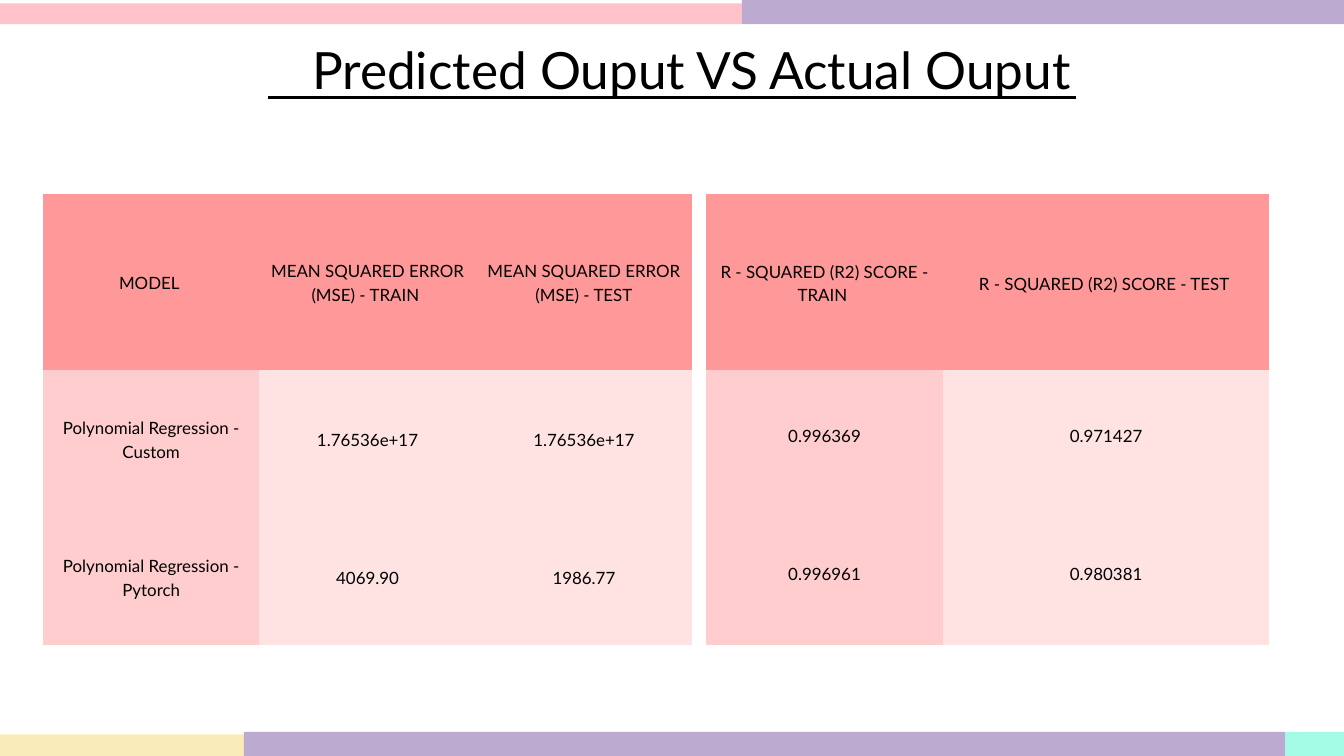
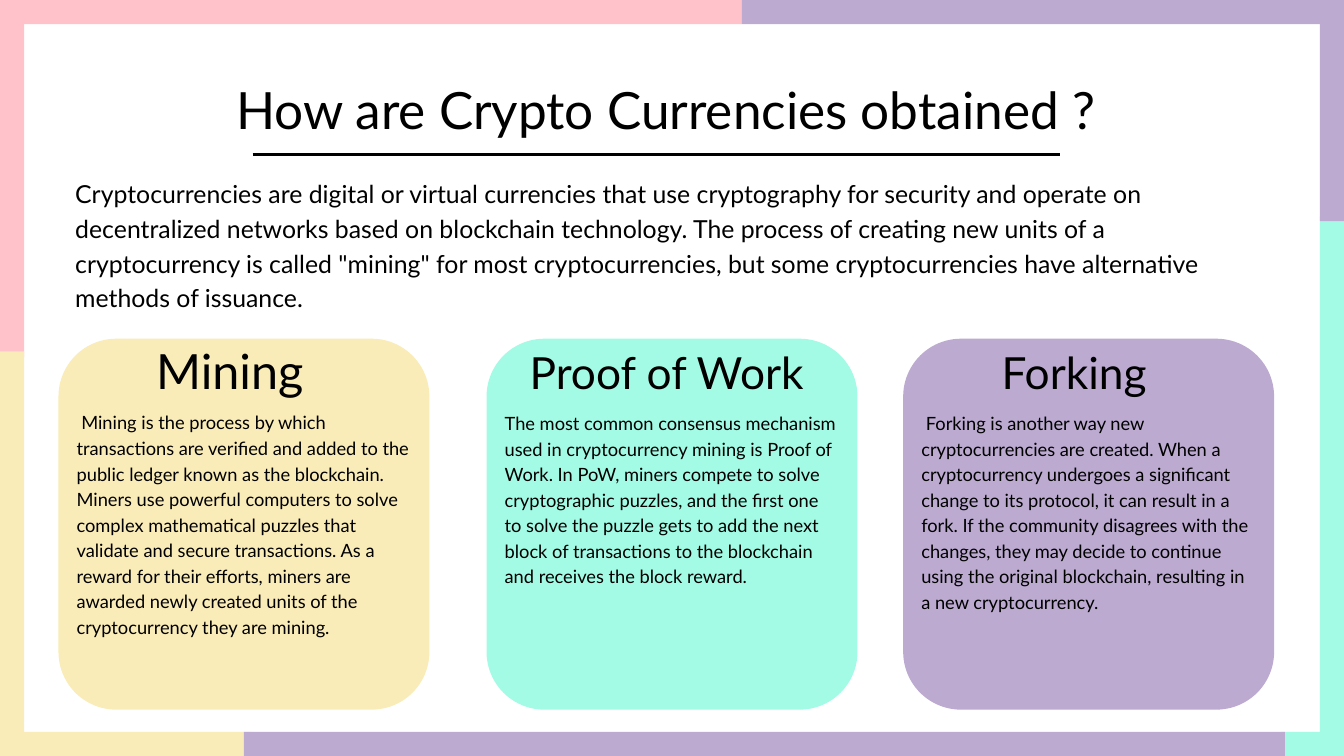
from dataclasses import dataclass

from lxml import etree
from pptx import Presentation
from pptx.dml.color import RGBColor
from pptx.enum.shapes import MSO_CONNECTOR, MSO_SHAPE
from pptx.enum.text import MSO_ANCHOR, MSO_AUTO_SIZE, PP_ALIGN
from pptx.oxml.ns import qn
from pptx.util import Inches, Pt

RECT, ROUNDED = MSO_SHAPE.RECTANGLE, MSO_SHAPE.ROUNDED_RECTANGLE
STRAIGHT = MSO_CONNECTOR.STRAIGHT
LEFT, CENTER = PP_ALIGN.LEFT, PP_ALIGN.CENTER
MIDDLE = MSO_ANCHOR.MIDDLE
GROW = MSO_AUTO_SIZE.SHAPE_TO_FIT_TEXT


@dataclass(frozen=True)
class Theme:
    font: str = "Lato"
    ink: str = "000000"
    paper: str = "FFFFFF"
    pink: str = "FFC2CA"
    purple: str = "BCAAD0"
    mint: str = "A3FBE5"
    cream: str = "F9ECB8"
    header: str = "FF9999"
    first_col: str = "FFCDCD"
    body_cell: str = "FFE3E3"
    # Type size and line spacing, in points
    title: tuple = (55, 77.1)
    intro: tuple = (26.6, 37.2)
    card_text: tuple = (19.6, 27.4)
    mining_head: tuple = (52, 72.8)
    card_head: tuple = (47.4, 66.4)
    cell: tuple = (18.1, 25.3)


THEME = Theme()
WIDTH, HEIGHT = 20, 11.25
EDGE = 0.36
FOOT = HEIGHT - EDGE


@dataclass(frozen=True)
class Box:
    left: float
    top: float
    width: float
    height: float

    def inches(self) -> tuple:
        return tuple(Inches(v) for v in (self.left, self.top, self.width, self.height))


@dataclass(frozen=True)
class Band:
    box: Box
    color: str


@dataclass(frozen=True)
class Card:
    left: float
    color: str
    head: str
    head_box: Box
    head_style: tuple
    text: str
    text_box: Box


@dataclass(frozen=True)
class ScoreTable:
    left: float
    top: float
    cols: tuple
    rows: tuple
    cells: tuple


# Frame bands
SHARED_BANDS = (
    Band(Box(11.04, 0, 8.96, EDGE), THEME.purple),
    Band(Box(3.63, FOOT, 15.49, EDGE), THEME.purple),
)
SCORE_BANDS = (
    Band(Box(0, 0.05, 11.04, 0.31), THEME.pink),
    Band(Box(19.06, FOOT, 0.94, EDGE), THEME.mint),
    Band(Box(0, 10.93, 3.76, 0.32), THEME.cream),
)
CRYPTO_BANDS = (
    Band(Box(WIDTH - EDGE, 3.22, EDGE, 8.03), THEME.mint),
    Band(Box(0.35, 0, 10.69, EDGE), THEME.pink),
    Band(Box(0, 0, EDGE, 5.31), THEME.pink),
    Band(Box(0, 5.23, EDGE, 6.02), THEME.cream),
    Band(Box(WIDTH - EDGE, 0, EDGE, 3.29), THEME.purple),
    Band(Box(19.06, FOOT, 0.76, EDGE), THEME.mint),
    Band(Box(0.18, FOOT, 3.58, EDGE), THEME.cream),
)

# Model scores
TABLES = (
    ScoreTable(0.64, 2.88, (3.22, 3.22, 3.22), (2.62, 2.05, 2.05), (
        ("MODEL ", "MEAN SQUARED ERROR (MSE) - TRAIN ", "MEAN SQUARED ERROR (MSE) - TEST"),
        ("Polynomial Regression - Custom", "1.76536e+17", "1.76536e+17"),
        ("Polynomial Regression - Pytorch", "4069.90", "1986.77"),
    )),
    ScoreTable(10.5, 2.88, (3.54, 4.84), (2.63, 1.91, 2.18), (
        ("R - SQUARED (R2) SCORE - TRAIN ", "R - SQUARED (R2) SCORE - TEST "),
        ("0.996369", "0.971427"),
        ("0.996961", "0.980381"),
    )),
)

# Ways of obtaining coins
CARD_TOP, CARD_SIZE, CARD_RADIUS = 5.04, 5.52, 0.86
INTRO = (
    "Cryptocurrencies are digital or virtual currencies that use cryptography for "
    "security and operate on decentralized networks based on blockchain technology. "
    "The process of creating new units of a cryptocurrency is called \"mining\" for most "
    "cryptocurrencies, but some cryptocurrencies have alternative methods of issuance."
)
CARDS = (
    Card(0.87, THEME.cream, "Mining", Box(2.22, 4.93, 2.4, 0.97), THEME.mining_head,
         " Mining is the process by which transactions are verified and added to the "
         "public ledger known as the blockchain. Miners use powerful computers to solve "
         "complex mathematical puzzles that validate and secure transactions. As a reward "
         "for their efforts, miners are awarded newly created units of the cryptocurrency "
         "they are mining.", Box(1.14, 6.07, 4.99, 3.75)),
    Card(7.24, THEME.mint, "Proof of Work ", Box(7.73, 5.01, 4.55, 0.89), THEME.card_head,
         "The most common consensus mechanism used in cryptocurrency mining is Proof of "
         "Work. In PoW, miners compete to solve cryptographic puzzles, and the first one "
         "to solve the puzzle gets to add the next block of transactions to the blockchain "
         "and receives the block reward.", Box(7.51, 6.08, 4.99, 3.37)),
    Card(13.44, THEME.purple, "Forking", Box(13.71, 5.01, 4.55, 0.89), THEME.card_head,
         " Forking is another way new cryptocurrencies are created. When a cryptocurrency "
         "undergoes a significant change to its protocol, it can result in a fork. If the "
         "community disagrees with the changes, they may decide to continue using the "
         "original blockchain, resulting in a new cryptocurrency.",
         Box(13.71, 6.08, 4.99, 3.37)),
)


def write(tf, text: str, *, style: tuple, align=LEFT, inset: float = 0) -> None:
    size, spacing = style
    tf.word_wrap = True
    tf.margin_left = tf.margin_right = tf.margin_top = tf.margin_bottom = Inches(inset)
    p = tf.paragraphs[0]
    p.alignment = align
    p.line_spacing = Pt(spacing)
    r = p.add_run()
    r.text = text
    r.font.name = THEME.font
    r.font.size = Pt(size)
    r.font.color.rgb = RGBColor.from_string(THEME.ink)


def add_text(slide, box: Box, text: str, *, style: tuple, align=LEFT) -> None:
    tf = slide.shapes.add_textbox(*box.inches()).text_frame
    write(tf, text, style=style, align=align)
    tf.auto_size = GROW


def add_block(slide, kind, box: Box, color: str):
    sp = slide.shapes.add_shape(kind, *box.inches())
    sp.shadow.inherit = False
    sp.fill.solid()
    sp.fill.fore_color.rgb = RGBColor.from_string(color)
    sp.line.fill.background()
    return sp


def add_rule(slide, left: float, y: float, width: float = 12.02) -> None:
    line = slide.shapes.add_connector(
        STRAIGHT, Inches(left), Inches(y), Inches(left + width), Inches(y))
    line.line.color.rgb = RGBColor.from_string(THEME.ink)
    line.line.width = Pt(3)
    etree.SubElement(line._element.spPr, qn("a:effectLst"))


def add_slide(prs, bands: tuple):
    slide = prs.slides.add_slide(prs.slide_layouts[6])
    fill = slide.background.fill
    fill.solid()
    fill.fore_color.rgb = RGBColor.from_string(THEME.paper)
    for band in bands + SHARED_BANDS:
        add_block(slide, RECT, band.box, band.color)
    return slide


def clear_borders(cell) -> None:
    tc_pr = cell._tc.get_or_add_tcPr()
    for i, side in enumerate(("lnL", "lnR", "lnT", "lnB")):
        ln = etree.Element(qn(f"a:{side}"), w="0")
        etree.SubElement(ln, qn("a:noFill"))
        tc_pr.insert(i, ln)


def cell_color(row: int, col: int) -> str:
    if row == 0:
        return THEME.header
    return THEME.first_col if col == 0 else THEME.body_cell


def add_score_table(slide, spec_table: ScoreTable) -> None:
    t = spec_table
    box = Box(t.left, t.top, sum(t.cols), sum(t.rows))
    table = slide.shapes.add_table(len(t.rows), len(t.cols), *box.inches()).table
    for col, width in zip(table.columns, t.cols):
        col.width = Inches(width)
    for row, height in zip(table.rows, t.rows):
        row.height = Inches(height)
    for i, texts in enumerate(t.cells):
        for j, text in enumerate(texts):
            cell = table.cell(i, j)
            write(cell.text_frame, text, style=THEME.cell, align=CENTER, inset=0.25)
            cell.vertical_anchor = MIDDLE
            cell.fill.solid()
            cell.fill.fore_color.rgb = RGBColor.from_string(cell_color(i, j))
            clear_borders(cell)


def add_card(slide, card: Card) -> None:
    sp = add_block(slide, ROUNDED, Box(card.left, CARD_TOP, CARD_SIZE, CARD_SIZE), card.color)
    sp.adjustments[0] = CARD_RADIUS / CARD_SIZE
    add_text(slide, card.head_box, card.head, style=card.head_style, align=CENTER)
    add_text(slide, card.text_box, card.text, style=THEME.card_text)


def build_scores(prs) -> None:
    slide = add_slide(prs, SCORE_BANDS)
    add_rule(slide, 3.99, 1.45)
    for table in TABLES:
        add_score_table(slide, table)
    add_text(slide, Box(3.71, 0.41, 13.16, 1.03), "Predicted Ouput VS Actual Ouput",
             style=THEME.title, align=CENTER)


def build_crypto(prs) -> None:
    slide = add_slide(prs, CRYPTO_BANDS)
    add_rule(slide, 3.76, 2.3)
    add_text(slide, Box(2.11, 1.01, 15.79, 1.03), "How are Crypto Currencies obtained ? ",
             style=THEME.title, align=CENTER)
    add_text(slide, Box(1.12, 2.59, 17.83, 2.05), INTRO, style=THEME.intro)
    for card in CARDS:
        add_card(slide, card)


def main() -> None:
    prs = Presentation()
    prs.slide_width, prs.slide_height = Inches(WIDTH), Inches(HEIGHT)
    build_scores(prs)
    build_crypto(prs)
    prs.save("out.pptx")


if __name__ == "__main__":
    main()
